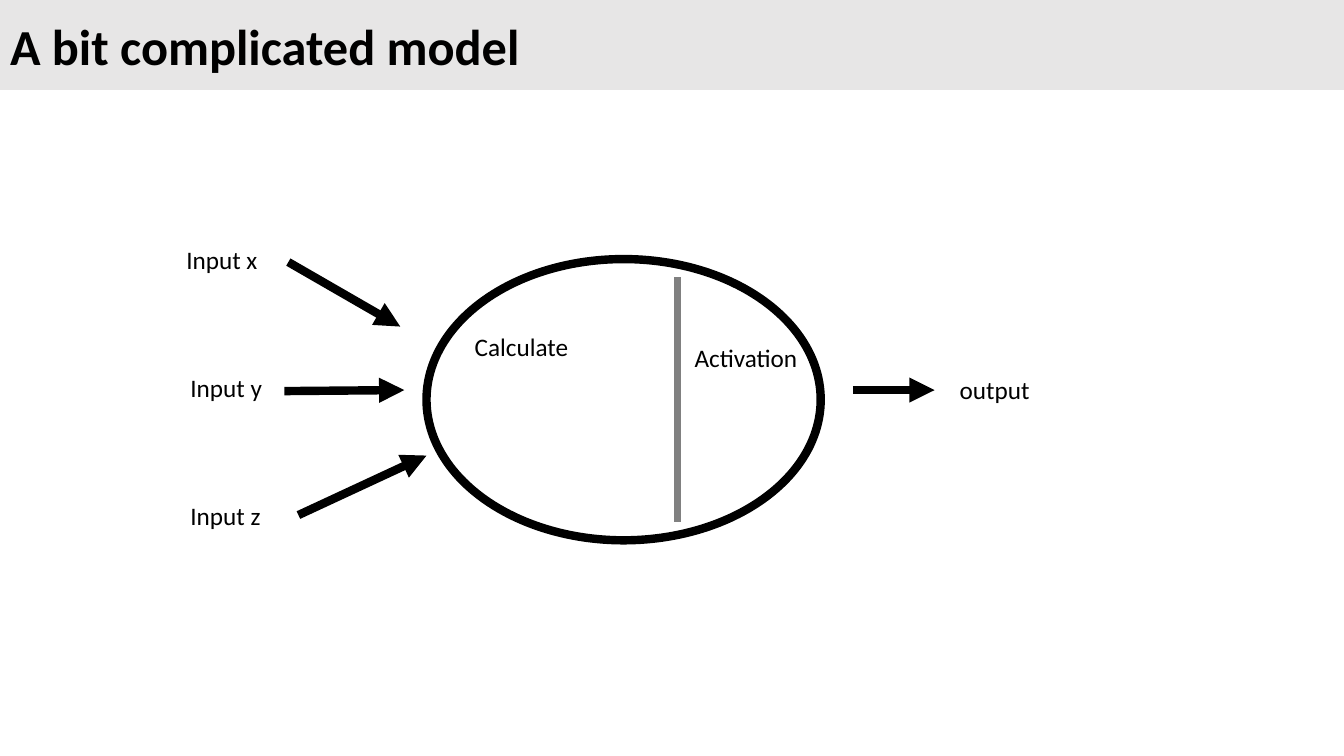
from lxml import etree
from pptx import Presentation, util as u
from pptx.dml.color import RGBColor
from pptx.enum import shapes as sh, text as tx
from pptx.oxml.ns import qn

TITLE = "A bit complicated model"
FONT = "Calibri"
HUES = {"ink": "000000", "band": "E7E6E6", "paper": "FFFFFF", "wall": "808080"}
BODY = (4.23, 2.57, 3.91, 2.79)
LABELS = [
    ("Input x", 1.75, 2.37, 2.22),
    ("Input y", 1.79, 3.64, 2.22),
    ("Input z", 1.79, 4.91, 2.22),
    ("Calculate", 4.61, 3.24, 1.19),
    ("Activation", 6.79, 3.35, 1.28),
    ("output", 9.42, 3.66, 2.22),
]
ARROWS = [
    (2.86, 2.6, 3.97, 3.24),
    (2.82, 3.88, 4.01, 3.87),
    (2.96, 5.11, 4.23, 4.52),
    (8.46, 3.87, 9.27, 3.87),
]
WALL = (6.72, 2.75, 6.72, 5.18)


def hue(name):
    return RGBColor.from_string(HUES[name])


def inches(nums):
    return [u.Inches(n) for n in nums]


def paint(shape, fill, line, width):
    shape.fill.solid()
    shape.fill.fore_color.rgb = hue(fill)
    shape.line.color.rgb = hue(line)
    shape.line.width = u.Pt(width)


def write(frame, words, size, bold=False):
    frame.text = words
    para = frame.paragraphs[0]
    para.alignment = tx.PP_ALIGN.LEFT
    font = para.runs[0].font
    font.name, font.size, font.bold = FONT, u.Pt(size), bold
    font.color.rgb = hue("ink")


def link(slide, ends, color, width, head=False):
    line = slide.shapes.add_connector(sh.MSO_CONNECTOR.STRAIGHT, *inches(ends))
    line.line.color.rgb = hue(color)
    line.line.width = u.Pt(width)
    if head:
        etree.SubElement(line.line._get_or_add_ln(), qn("a:tailEnd"), type="triangle")
    etree.SubElement(line._element.spPr, qn("a:effectLst"))


def main():
    deck = Presentation()
    deck.slide_width, deck.slide_height = inches((13.33, 7.5))
    slide = deck.slides.add_slide(deck.slide_layouts[5])

    title = slide.shapes.title
    title.left, title.top, title.width, title.height = inches((0, 0, 13.33, 0.89))
    paint(title, "band", "band", 1)
    write(title.text_frame, TITLE, 36, True)
    title.text_frame.auto_size = tx.MSO_AUTO_SIZE.NONE
    title.text_frame.vertical_anchor = tx.MSO_ANCHOR.MIDDLE

    body = slide.shapes.add_shape(sh.MSO_SHAPE.OVAL, *inches(BODY))
    body.shadow.inherit = False
    paint(body, "paper", "ink", 6)

    for ends in ARROWS:
        link(slide, ends, "ink", 6, True)
    link(slide, WALL, "wall", 4.5)

    for words, left, top, width in LABELS:
        box = slide.shapes.add_textbox(*inches((left, top, width, 0.4)))
        box.text_frame.word_wrap = True
        box.text_frame.auto_size = tx.MSO_AUTO_SIZE.SHAPE_TO_FIT_TEXT
        write(box.text_frame, words, 18)

    deck.save("out.pptx")


if __name__ == "__main__":
    main()
